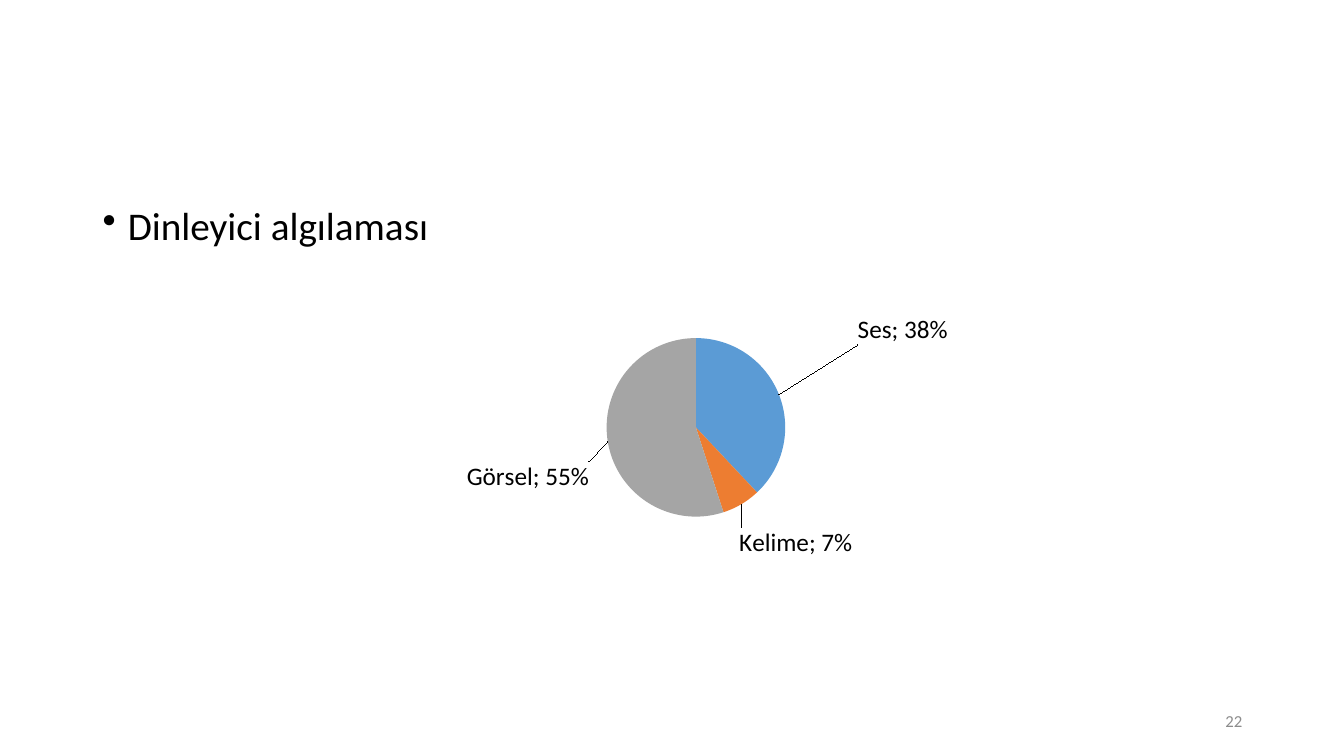
from dataclasses import dataclass

from pptx import Presentation
from pptx.chart.data import CategoryChartData
from pptx.dml.color import RGBColor
from pptx.enum.chart import XL_CHART_TYPE
from pptx.enum.text import MSO_ANCHOR, PP_ALIGN
from pptx.oxml import parse_xml
from pptx.oxml.ns import qn
from pptx.util import Inches, Pt

PIE = XL_CHART_TYPE.PIE
MIDDLE, TOP = MSO_ANCHOR.MIDDLE, MSO_ANCHOR.TOP
LEFT, RIGHT = PP_ALIGN.LEFT, PP_ALIGN.RIGHT
CHART_NS = 'xmlns:c="http://schemas.openxmlformats.org/drawingml/2006/chart"'


@dataclass(frozen=True)
class Theme:
    font: str = "Calibri"
    ink: str = "000000"
    muted: str = "8C8C8C"
    slices: tuple = ("5B9BD5", "ED7D31", "A5A5A5")
    body: int = 28
    label: int = 18
    small: int = 12


# category, share, label shift as a fraction of the chart
SHARES = (
    ("Ses", 0.38, (0.114, -0.147)),
    ("Kelime", 0.07, (-0.008, 0.057)),
    ("Görsel", 0.55, (-0.02, 0.061)),
)
PLOT = {"x": 0.024, "y": 0.173, "w": 0.956, "h": 0.598}


def layout(target="", **spots):
    """Return a manual chart layout; spots are fractions of the chart."""
    inner = "".join(f'<c:{key} val="{val}"/>' for key, val in spots.items())
    return f"<c:layout {CHART_NS}><c:manualLayout>{target}{inner}</c:manualLayout></c:layout>"


def labels_xml(shifts):
    """Return name-and-value labels, each moved by its own shift."""
    form = '<c:numFmt formatCode="0%" sourceLinked="0"/>'
    show = (
        '<c:dLblPos val="outEnd"/><c:showLegendKey val="0"/><c:showVal val="1"/>'
        '<c:showCatName val="1"/><c:showSerName val="0"/><c:showPercent val="0"/>'
        '<c:showBubbleSize val="0"/><c:separator>; </c:separator>'
    )
    points = "".join(
        f'<c:dLbl><c:idx val="{i}"/>{layout(x=x, y=y)}{form}{show}</c:dLbl>'
        for i, (x, y) in enumerate(shifts)
    )
    return (
        f"<c:dLbls {CHART_NS}>{points}{form}{show}"
        '<c:showLeaderLines val="1"/></c:dLbls>'
    )


class Deck:
    def __init__(self, theme):
        self.theme = theme
        self.file = Presentation()
        self.file.slide_width = Inches(13.33)
        self.file.slide_height = Inches(7.5)
        self.slide = self.file.slides.add_slide(self.file.slide_layouts[6])

    def style(self, font, size, color):
        font.name = self.theme.font
        font.size = Pt(size)
        font.color.rgb = RGBColor.from_string(color)

    def text(self, box, words, size, color, align=LEFT, anchor=TOP):
        shape = self.slide.shapes.add_textbox(*map(Inches, box))
        frame = shape.text_frame
        frame.word_wrap = True
        frame.vertical_anchor = anchor
        para = frame.paragraphs[0]
        para.text = words
        para.alignment = align
        self.style(para.font, size, color)
        return para

    def bullet(self, box, words):
        para = self.text(box, words, self.theme.body, self.theme.ink)
        para.line_spacing = 0.9
        para.space_before = Pt(10)
        props = para._p.get_or_add_pPr()
        props.set("marL", str(Inches(0.25)))
        props.set("indent", str(Inches(-0.25)))
        mark = props.makeelement(qn("a:buChar"), {"char": "•"})
        props.insert_element_before(mark, "a:tabLst", "a:defRPr", "a:extLst")

    def pie(self, box, shares):
        names, values, shifts = zip(*shares)
        data = CategoryChartData(number_format="0%")
        data.categories = names
        data.add_series("Series 1", values)
        chart = self.slide.shapes.add_chart(PIE, *map(Inches, box), data).chart
        chart.has_title = False
        chart.has_legend = False
        self.style(chart.font, self.theme.label, self.theme.ink)

        area = chart._chartSpace.chart.plotArea
        for old in area.findall(qn("c:layout")):
            area.remove(old)
        target = (
            '<c:layoutTarget val="inner"/>'
            '<c:xMode val="edge"/><c:yMode val="edge"/>'
        )
        area.insert(0, parse_xml(layout(target, **PLOT)))

        plot = chart.plots[0]
        plot.vary_by_categories = True
        series = plot.series[0]
        for i, color in enumerate(self.theme.slices):
            fill = series.points[i].format.fill
            fill.solid()
            fill.fore_color.rgb = RGBColor.from_string(color)
        self.spread(series._element)
        cats = series._element.find(qn("c:cat"))
        cats.addprevious(parse_xml(labels_xml(shifts)))

    def spread(self, ser):
        """Reserve room for an exploded pie while its slices stay joined."""
        points = ser.findall(qn("c:dPt"))
        points[0].addprevious(ser.makeelement(qn("c:explosion"), {"val": "8"}))
        for point in points:
            shape = point.find(qn("c:spPr"))
            shape.addprevious(ser.makeelement(qn("c:explosion"), {"val": "0"}))

    def number(self, box, words):
        self.text(box, words, self.theme.small, self.theme.muted, RIGHT, MIDDLE)


def main():
    deck = Deck(Theme())
    deck.bullet((0.92, 2, 11.5, 4.76), "Dinleyici algılaması")
    deck.pie((3.7, 2.73, 6.38, 3.2), SHARES)
    deck.number((9.42, 6.95, 3, 0.4), "22")
    deck.file.save("out.pptx")


if __name__ == "__main__":
    main()
